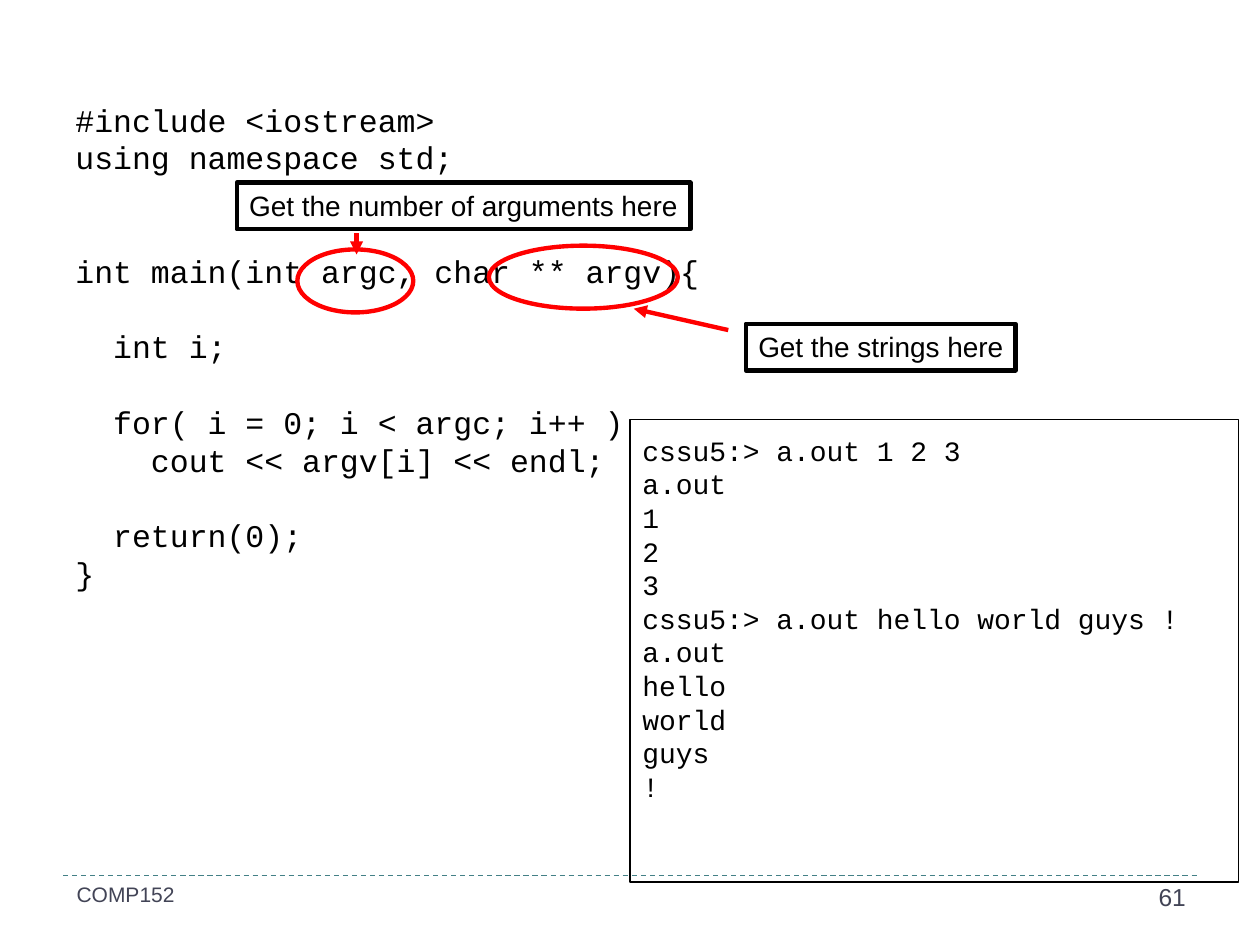
"""Build a slide on reading command-line arguments in C++."""
from lxml import etree
from pptx import Presentation
from pptx import util as u
from pptx.dml.color import RGBColor
from pptx.enum import dml, shapes, text
from pptx.oxml.ns import qn

BLACK = RGBColor(0x00, 0x00, 0x00)
RED = RGBColor(0xFF, 0x00, 0x00)
TEAL = RGBColor(0x43, 0x80, 0x86)
SLATE = RGBColor(0x42, 0x44, 0x56)

WIDTH, HEIGHT = u.Inches(10), u.Inches(7.5)
COLS, ROWS = 100, 75
MONO, SANS = "Courier New", "Arial"
LEADING = 1.2

CODE = """#include <iostream>
using namespace std;


int main(int argc, char ** argv){

  int i;

  for( i = 0; i < argc; i++ )
    cout << argv[i] << endl;

  return(0);
}"""

OUTPUT = """cssu5:> a.out 1 2 3
a.out
1
2
3
cssu5:> a.out hello world guys !
a.out
hello
world
guys
!"""


def grid(col, row):
    """Convert grid columns and rows to slide lengths."""
    return round(WIDTH * col / COLS), round(HEIGHT * row / ROWS)


def write(sp, content, size, font=SANS, color=BLACK, align=text.PP_ALIGN.LEFT,
          leading=None, wrap=True, anchor=text.MSO_ANCHOR.TOP):
    """Write lines into a shape, turning empty lines into space before the next."""
    tf = sp.text_frame
    tf.word_wrap = wrap
    tf.vertical_anchor = anchor
    gap = 0
    p = tf.paragraphs[0]
    for i, line in enumerate(content.split("\n")):
        if not line:
            gap += 1
            continue
        if i:
            p = tf.add_paragraph()
        p.alignment = align
        if leading:
            p.line_spacing = u.Pt(size * leading)
        if gap:
            p.space_before = u.Pt(gap * size * (leading or 1))
            gap = 0
        r = p.add_run()
        r.text = line
        r.font.size = u.Pt(size)
        r.font.name = font
        r.font.color.rgb = color


def add_label(s, box, content, size, **fmt):
    """Add a plain text box."""
    sp = s.shapes.add_textbox(*grid(*box[:2]), *grid(*box[2:]))
    write(sp, content, size, **fmt)


def add_outline(s, kind, box, color, weight):
    """Add an unfilled preset shape with a coloured outline."""
    sp = s.shapes.add_shape(kind, *grid(*box[:2]), *grid(*box[2:]))
    sp.shadow.inherit = False
    sp.fill.background()
    sp.line.color.rgb = color
    sp.line.width = u.Pt(weight)
    return sp


def add_callout(s, box, content):
    """Add a heavy black frame holding a remark."""
    sp = add_outline(s, shapes.MSO_SHAPE.RECTANGLE, box, BLACK, 2.5)
    write(sp, content, 16, wrap=False)


def add_line(s, start, end, color, weight, dash=None, arrow=False):
    """Add a straight line, optionally dashed or with an arrowhead at its end."""
    cn = s.shapes.add_connector(shapes.MSO_CONNECTOR.STRAIGHT,
                                *grid(*start), *grid(*end))
    cn.line.color.rgb = color
    cn.line.width = u.Pt(weight)
    if dash:
        cn.line.dash_style = dash
    if arrow:
        ln = cn.line._get_or_add_ln()
        etree.SubElement(ln, qn("a:tailEnd"), type="triangle")
    etree.SubElement(cn._element.spPr, qn("a:effectLst"))


def main():
    """Build and save the slide."""
    prs = Presentation()
    prs.slide_width, prs.slide_height = WIDTH, HEIGHT
    s = prs.slides.add_slide(prs.slide_layouts[6])
    rect, oval = shapes.MSO_SHAPE.RECTANGLE, shapes.MSO_SHAPE.OVAL

    add_line(s, (5, 69.5), (95, 69.5), TEAL, 0.75, dash=dml.MSO_LINE.DASH)
    add_label(s, (5, 7.5, 63.3, 40), CODE, 18, font=MONO, leading=LEADING)
    add_label(s, (50, 33.9, 50, 30.3), OUTPUT, 16, font=MONO, leading=LEADING)
    add_outline(s, rect, (50, 33.3, 48.3, 36.7), BLACK, 1)

    add_outline(s, oval, (23.6, 19.8, 9.2, 5), RED, 2.5)
    add_callout(s, (18.8, 14.5, 36, 3.7), "Get the number of arguments here")
    add_line(s, (28.3, 18.5), (28.3, 20.2), RED, 2.5, arrow=True)

    add_outline(s, oval, (38.8, 19.5, 15, 5), RED, 2.5)
    add_callout(s, (59.2, 25.7, 21.4, 3.7), "Get the strings here")
    add_line(s, (57.8, 26.2), (50.3, 24.5), RED, 2.5, arrow=True)

    add_label(s, (73.4, 69.5, 21.7, 4), "61", 14, color=SLATE,
              align=text.PP_ALIGN.RIGHT)
    add_label(s, (5.1, 69.5, 65, 4), "COMP152", 12, color=SLATE)
    prs.save("out.pptx")


if __name__ == "__main__":
    main()
